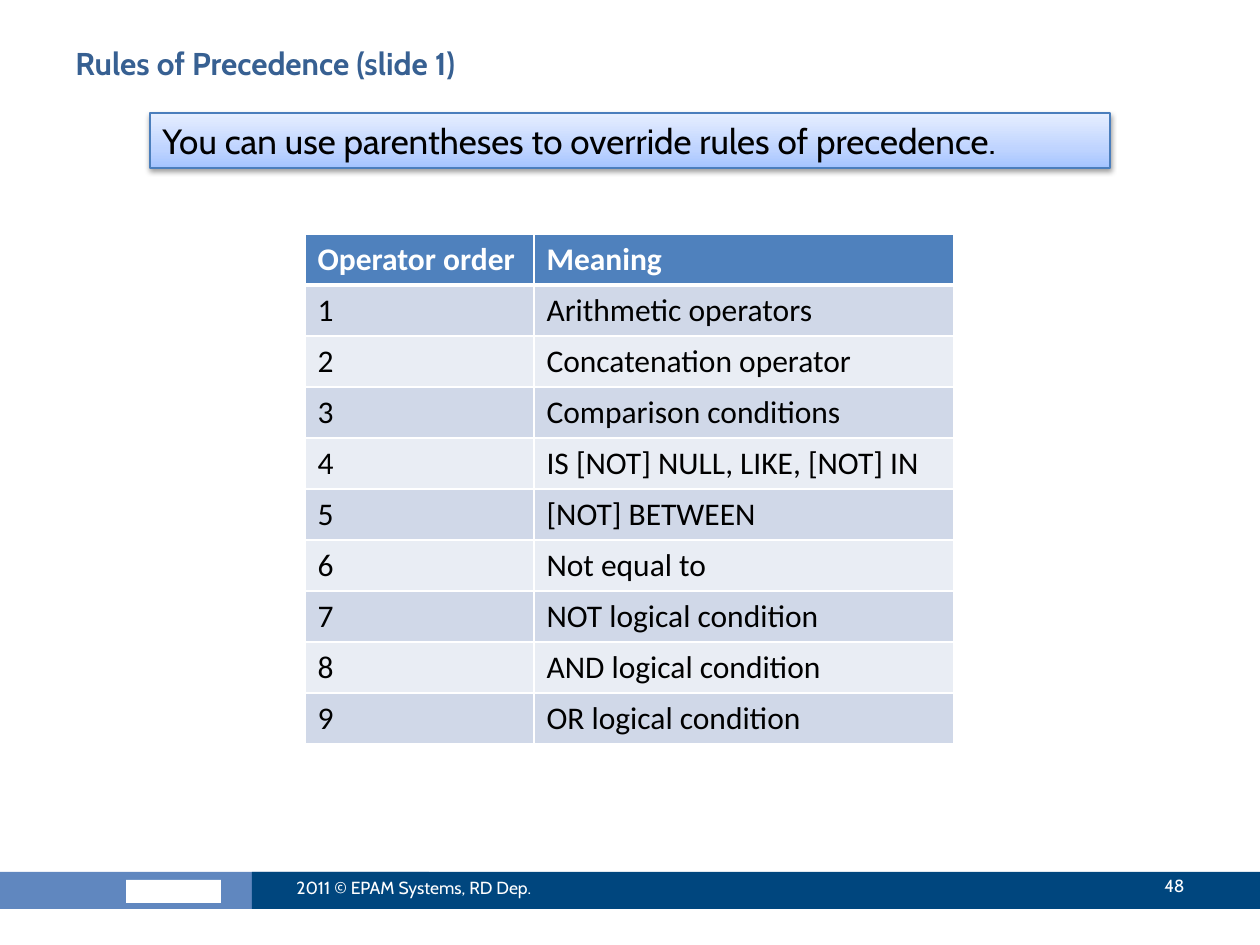
from dataclasses import dataclass

from lxml import etree
from pptx import Presentation
from pptx.dml.color import RGBColor
from pptx.enum.shapes import MSO_SHAPE
from pptx.enum.text import MSO_ANCHOR, PP_ALIGN
from pptx.oxml import parse_xml
from pptx.oxml.ns import nsdecls, qn
from pptx.util import Emu, Pt

RECTANGLE = MSO_SHAPE.RECTANGLE
TOP, MIDDLE = MSO_ANCHOR.TOP, MSO_ANCHOR.MIDDLE
LEFT, RIGHT = PP_ALIGN.LEFT, PP_ALIGN.RIGHT
EMU_PER_PX = 914400 / 126


@dataclass(frozen=True)
class Theme:
    heading: str = "376092"
    ink: str = "000000"
    white: str = "FFFFFF"
    brand_band: str = "6087BF"
    footer_band: str = "00467E"
    callout_line: str = "4B7EBC"
    callout_stops: tuple = ((0, "A4C4FF"), (35, "BFD4FF"), (100, "E6EEFF"))
    header_fill: str = "4F81BD"
    row_fills: tuple = ("D0D8E8", "E9EDF4")
    font: str = "Cabin"
    table_font: str = "Calibri"
    heading_size: int = 18
    callout_size: int = 20
    table_size: int = 18
    footer_size: int = 10


def px(length):
    return Emu(round(length * EMU_PER_PX))


class SlideBuilder:
    """Draws themed elements on the current slide."""

    def __init__(self, page, theme):
        self.page = page
        self.theme = theme

    def add_text(self, frame, text, size, color, font=None, bold=False, align=LEFT):
        para = frame.paragraphs[0]
        para.alignment = align
        span = para.add_run()
        span.text = text
        span.font.color.rgb = RGBColor.from_string(color)
        values = {"name": font or self.theme.font, "size": Pt(size), "bold": bold}
        for name, value in values.items():
            setattr(span.font, name, value)

    def set_frame(self, frame, anchor):
        for name, value in {"word_wrap": True, "vertical_anchor": anchor}.items():
            setattr(frame, name, value)

    def label(self, area, text, size, color, anchor=MIDDLE, **style):
        box = self.page.shapes.add_textbox(*map(px, area))
        self.set_frame(box.text_frame, anchor)
        self.add_text(box.text_frame, text, size, color, **style)

    def band(self, area, color):
        box = self.page.shapes.add_shape(RECTANGLE, *map(px, area))
        box.shadow.inherit = False
        box.fill.solid()
        box.fill.fore_color.rgb = RGBColor.from_string(color)
        box.line.fill.background()
        return box

    def callout(self, area, text):
        theme = self.theme
        box = self.band(area, theme.white)
        box.line.color.rgb = RGBColor.from_string(theme.callout_line)
        box.line.width = Pt(0.75)
        stops = "".join(
            f'<a:gs pos="{percent * 1000}"><a:srgbClr val="{color}"/></a:gs>'
            for percent, color in theme.callout_stops
        )
        properties = box._element.spPr
        properties.replace(properties.find(qn("a:solidFill")), parse_xml(
            f'<a:gradFill {nsdecls("a")} rotWithShape="1"><a:gsLst>{stops}</a:gsLst>'
            '<a:lin ang="16200000" scaled="0"/></a:gradFill>'
        ))
        properties.find(qn("a:effectLst")).append(parse_xml(
            f'<a:outerShdw {nsdecls("a")} blurRad="40000" dist="20000" '
            f'dir="5400000" rotWithShape="0"><a:srgbClr val="{theme.ink}">'
            '<a:alpha val="38000"/></a:srgbClr></a:outerShdw>'
        ))
        self.set_frame(box.text_frame, TOP)
        self.add_text(box.text_frame, text, theme.callout_size, theme.ink)

    def borders(self, cell, widths):
        properties = cell._tc.get_or_add_tcPr()
        for index, (side, width) in enumerate(widths.items()):
            line = etree.Element(qn(f"a:ln{side}"), w=str(int(Pt(width))))
            fill = etree.SubElement(line, qn("a:solidFill"))
            etree.SubElement(fill, qn("a:srgbClr"), val=self.theme.white)
            properties.insert(index, line)

    def table(self, left, top, widths, row_height, rows):
        theme = self.theme
        size = (sum(widths), row_height * len(rows))
        frame = self.page.shapes.add_table(
            len(rows), len(widths), *map(px, (left, top, *size))
        )
        grid = frame.table
        for column, width in zip(grid.columns, widths):
            column.width = px(width)
        for index, texts in enumerate(rows):
            grid.rows[index].height = px(row_height)
            header = index == 0
            fill = theme.header_fill if header else theme.row_fills[(index - 1) % 2]
            ink = theme.white if header else theme.ink
            widths_by_side = {
                "L": 1, "R": 1, "T": 3 if index == 1 else 1, "B": 3 if header else 1
            }
            for cell, text in zip(grid.rows[index].cells, texts):
                cell.fill.solid()
                cell.fill.fore_color.rgb = RGBColor.from_string(fill)
                self.borders(cell, widths_by_side)
                self.add_text(cell.text_frame, text, theme.table_size, ink,
                              font=theme.table_font, bold=header)


def main():
    theme = Theme()
    deck = Presentation()
    deck.slide_width, deck.slide_height = px(1260), px(945)
    page = deck.slides.add_slide(deck.slide_layouts[6])
    builder = SlideBuilder(page, theme)

    builder.band((-3, 872, 432, 37), theme.brand_band)
    builder.band((126, 880, 95, 23), theme.white)
    builder.band((252, 872, 1008, 37), theme.footer_band)
    builder.label((63, 38, 1134, 98), "Rules of Precedence (slide 1)",
                  theme.heading_size, theme.heading, anchor=TOP, bold=True)
    builder.label((284, 863, 336, 50), "2011 © EPAM Systems, RD Dep.",
                  theme.footer_size, theme.white)
    builder.label((1061, 861, 136, 50), "48",
                  theme.footer_size, theme.white, align=RIGHT)
    builder.callout((150, 113, 960, 55),
                    "You can use parentheses to override rules of precedence.")

    meanings = (
        "Arithmetic operators",
        "Concatenation operator",
        "Comparison conditions",
        "IS [NOT] NULL, LIKE, [NOT] IN",
        "[NOT] BETWEEN",
        "Not equal to",
        "NOT logical condition",
        "AND logical condition",
        "OR logical condition",
    )
    numbered = [(str(order), text) for order, text in enumerate(meanings, 1)]
    builder.table(305, 234, (229, 420), 51,
                  [("Operator order", "Meaning"), *numbered])
    deck.save("out.pptx")


if __name__ == "__main__":
    main()
